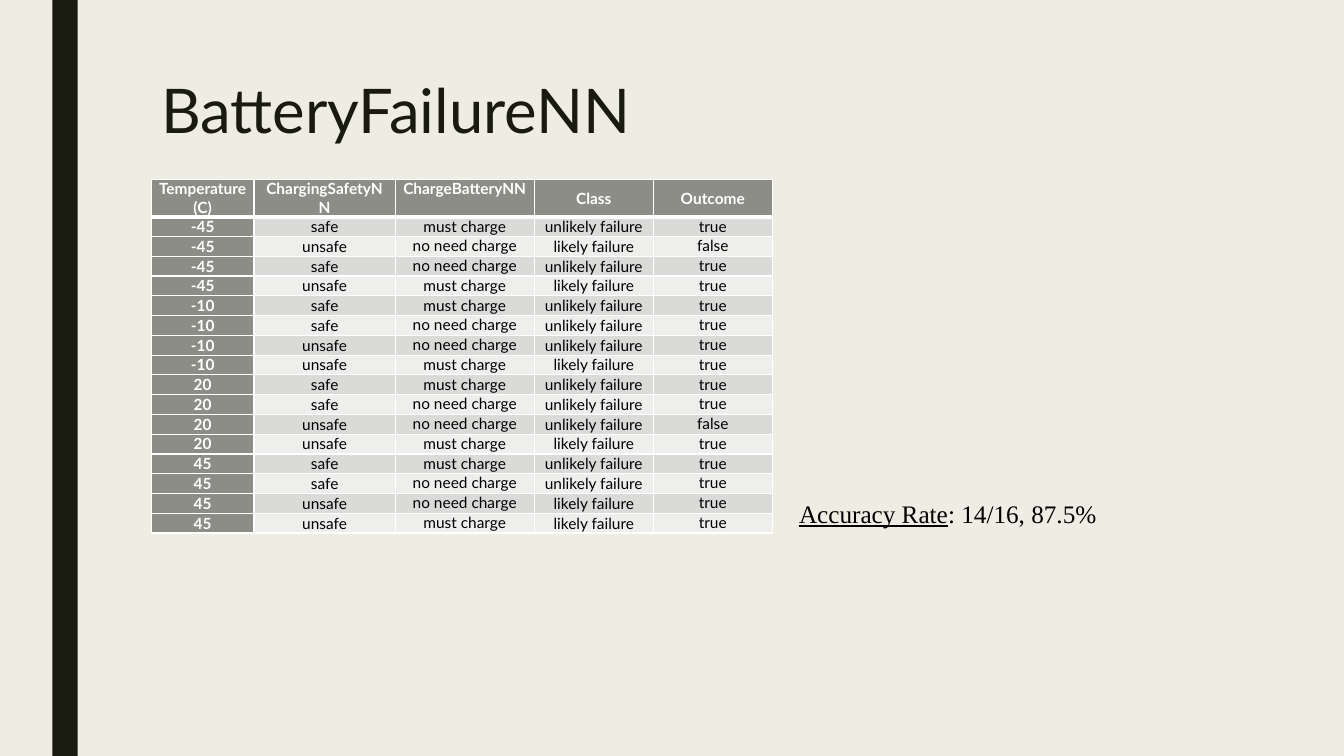
from dataclasses import dataclass

from lxml.etree import SubElement
from pptx import Presentation
from pptx.dml.color import RGBColor as RGB
from pptx.enum.shapes import MSO_SHAPE as Shape
from pptx.enum.text import MSO_ANCHOR as Anchor, MSO_AUTO_SIZE as AutoSize, PP_ALIGN as Align
from pptx.oxml.ns import qn
from pptx.util import Inches, Pt


@dataclass(frozen=True)
class Theme:
    background: str = "EFEDE3"
    dark: str = "191B0E"
    heading_fill: str = "8C8D86"
    bands: tuple = ("DADBD9", "EEEEED")
    white: str = "FFFFFF"
    black: str = "000000"
    main_font: str = "Lato"
    note_font: str = "Times New Roman"
    title_size: int = 44
    cell_size: int = 11
    note_size: int = 18


class SlideBuilder:
    def __init__(self, slide, theme):
        self.slide = slide
        self.theme = theme
        slide.background.fill.solid()
        slide.background.fill.fore_color.rgb = RGB.from_string(theme.background)

    def style(self, paragraph, name, size, color, bold=False):
        font = paragraph.font
        font.name, font.size, font.bold = name, Pt(size), bold
        font.color.rgb = RGB.from_string(color)

    def bar(self, left, top, width, height):
        bar = self.slide.shapes.add_shape(
            Shape.RECTANGLE, Inches(left), Inches(top), Inches(width), Inches(height))
        bar.shadow.inherit = False
        bar.fill.solid()
        bar.fill.fore_color.rgb = RGB.from_string(self.theme.dark)
        bar.line.fill.background()

    def text(self, left, top, width, height, parts, name, size, color,
             align=Align.LEFT, spacing=None, wrap=True):
        """Each part is a pair of wording and whether it is underlined."""
        frame = self.slide.shapes.add_textbox(
            Inches(left), Inches(top), Inches(width), Inches(height)).text_frame
        frame.word_wrap = wrap
        frame.auto_size = AutoSize.NONE if wrap else AutoSize.SHAPE_TO_FIT_TEXT
        line = frame.paragraphs[0]
        line.alignment, line.line_spacing = align, spacing
        self.style(line, name, size, color)
        for wording, underlined in parts:
            run = line.add_run()
            run.text = wording
            if underlined:
                run.font.underline = True

    def borders(self, cell, bottom):
        properties = cell._tc.get_or_add_tcPr()
        # Borders come before the fill in the cell properties
        for position, side in enumerate(("lnL", "lnR", "lnT", "lnB")):
            points = bottom if side == "lnB" else 1
            edge = SubElement(properties, qn(f"a:{side}"), w=str(Pt(points)))
            fill = SubElement(edge, qn("a:solidFill"))
            SubElement(fill, qn("a:srgbClr"), val=self.theme.white)
            properties.insert(position, edge)

    def cell(self, cell, wording, fill, color, bold, anchor, bottom):
        cell.text = wording
        cell.margin_left = cell.margin_right = Inches(0.07)
        cell.margin_top = cell.margin_bottom = 0
        cell.vertical_anchor = anchor
        cell.fill.solid()
        cell.fill.fore_color.rgb = RGB.from_string(fill)
        line = cell.text_frame.paragraphs[0]
        line.alignment = Align.CENTER
        self.style(line, self.theme.main_font, self.theme.cell_size, color, bold)
        self.borders(cell, bottom)

    def table(self, left, top, widths, header_height, row_height, rows, top_cells):
        height = header_height + row_height * (len(rows) - 1)
        table = self.slide.shapes.add_table(
            len(rows), len(widths), Inches(left), Inches(top),
            Inches(sum(widths)), Inches(height)).table
        table.first_col = True
        for column, width in zip(table.columns, widths):
            column.width = Inches(width)
        for r, row in enumerate(rows):
            table.rows[r].height = Inches(row_height if r else header_height)
            for c, wording in enumerate(row):
                heading = r == 0 or c == 0
                self.cell(
                    table.cell(r, c), wording,
                    fill=self.theme.heading_fill if heading else self.theme.bands[(r - 1) % 2],
                    color=self.theme.white if heading else self.theme.black,
                    bold=heading,
                    anchor=Anchor.TOP if top_cells(r, c) else Anchor.MIDDLE,
                    bottom=1 if r else 3)


HEADER = ("Temperature (C)", "ChargingSafetyNN", "ChargeBatteryNN", "Class", "Outcome")
MUST, NO_NEED = "must charge", "no need charge"
LIKELY, UNLIKELY = "likely failure", "unlikely failure"
TRIALS = [
    ("-45", "safe", MUST, UNLIKELY, "true"),
    ("-45", "unsafe", NO_NEED, LIKELY, "false"),
    ("-45", "safe", NO_NEED, UNLIKELY, "true"),
    ("-45", "unsafe", MUST, LIKELY, "true"),
    ("-10", "safe", MUST, UNLIKELY, "true"),
    ("-10", "safe", NO_NEED, UNLIKELY, "true"),
    ("-10", "unsafe", NO_NEED, UNLIKELY, "true"),
    ("-10", "unsafe", MUST, LIKELY, "true"),
    ("20", "safe", MUST, UNLIKELY, "true"),
    ("20", "safe", NO_NEED, UNLIKELY, "true"),
    ("20", "unsafe", NO_NEED, UNLIKELY, "false"),
    ("20", "unsafe", MUST, LIKELY, "true"),
    ("45", "safe", MUST, UNLIKELY, "true"),
    ("45", "safe", NO_NEED, UNLIKELY, "true"),
    ("45", "unsafe", NO_NEED, LIKELY, "true"),
    ("45", "unsafe", MUST, LIKELY, "true"),
]


def main():
    deck = Presentation()
    deck.slide_width, deck.slide_height = Inches(13.33), Inches(7.5)
    theme = Theme()
    page = SlideBuilder(deck.slides.add_slide(deck.slide_layouts[6]), theme)

    # Side bar and title
    page.bar(0.52, 0, 0.25, 7.5)
    page.text(1.5, 0.75, 10.5, 1.62, [("BatteryFailureNN", False)],
              theme.main_font, theme.title_size, theme.dark, spacing=0.89)

    # Trial results
    page.table(1.5, 1.78, (1.02, 1.4, 1.38, 1.18, 1.18), header_height=0.37,
               row_height=(3.51 - 0.37) / len(TRIALS), rows=[HEADER, *TRIALS],
               top_cells=lambda r, c: c == 2 or (c == 4 and r > 0))

    # Accuracy note
    page.text(7.81, 4.89, 3.18, 0.4, [("Accuracy Rate", True), (": 14/16, 87.5%", False)],
              theme.note_font, theme.note_size, theme.black, align=Align.CENTER, wrap=False)

    deck.save("out.pptx")


if __name__ == "__main__":
    main()
